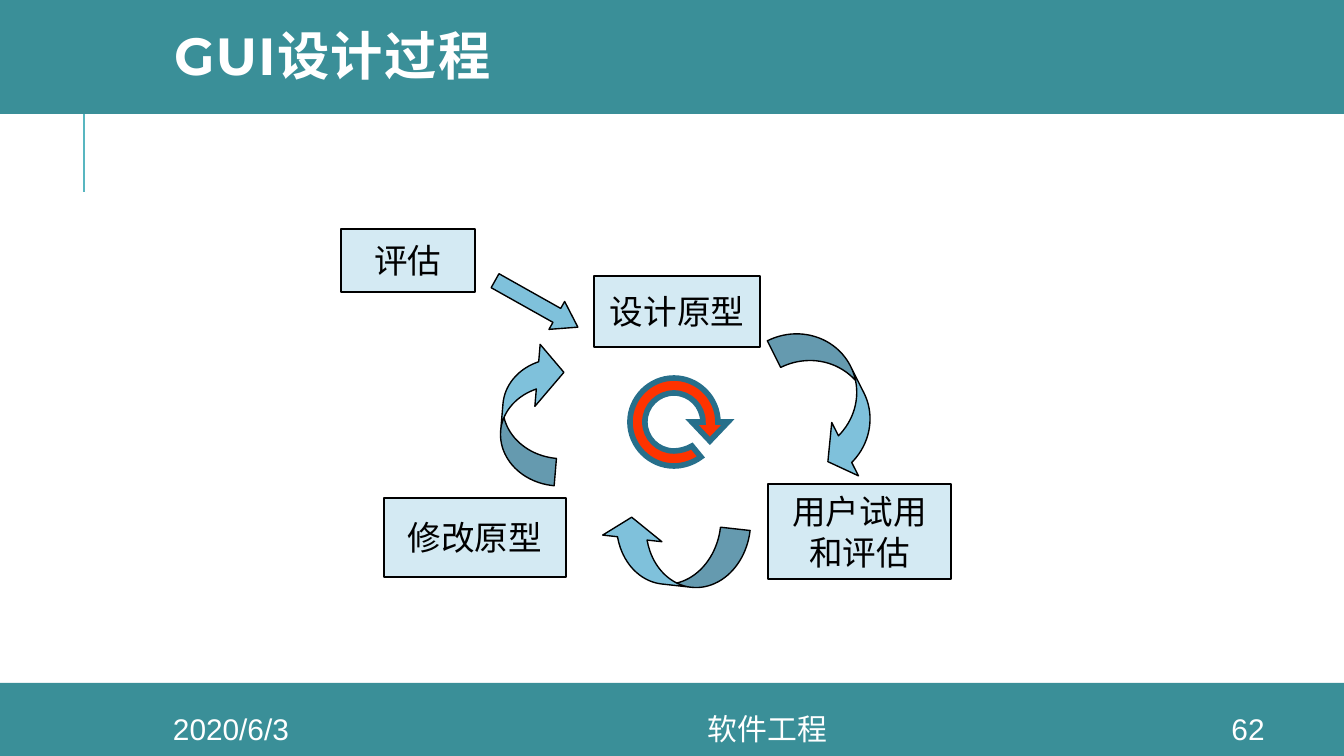
from lxml.etree import SubElement
from pptx import Presentation
from pptx.dml.color import RGBColor
from pptx.enum.shapes import MSO_CONNECTOR, MSO_SHAPE
from pptx.enum.text import MSO_ANCHOR, PP_ALIGN
from pptx.oxml.ns import qn
from pptx.util import Pt

PX = 914400 / 134.4  # EMU in one px
TEAL = RGBColor(0x3A, 0x8F, 0x98)
LIGHT_TEAL = RGBColor(0x58, 0xB6, 0xC0)
PALE_BLUE = RGBColor(0xD4, 0xEA, 0xF3)
SKY_BLUE = RGBColor(0x7F, 0xC1, 0xDB)
DARK_BLUE = RGBColor(0x27, 0x6F, 0x8B)
RED = RGBColor(0xFF, 0x33, 0x00)
BLACK = RGBColor(0, 0, 0)
WHITE = RGBColor(0xFF, 0xFF, 0xFF)


def emu(*lengths):
    return [round(length * PX) for length in lengths]


def write(box, text, size=18, color=BLACK, font="Arial", bold=False,
          align=PP_ALIGN.CENTER, wrap=True, line_spacing=None, tracking=None):
    frame = box.text_frame
    frame.word_wrap = wrap
    frame.vertical_anchor = MSO_ANCHOR.MIDDLE
    for index, line in enumerate(text.split("\n")):
        para = frame.add_paragraph() if index else frame.paragraphs[0]
        para.alignment = align
        para.line_spacing = line_spacing
        span = para.add_run()
        span.text = line
        span.font.size = Pt(size)
        span.font.name = font
        span.font.bold = bold
        span.font.color.rgb = color
        if tracking:
            span.font._element.set("spc", str(tracking))


deck = Presentation()
deck.slide_width, deck.slide_height = emu(1344, 756)
page = deck.slides.add_slide(deck.slide_layouts[6])
shapes = page.shapes

# Accent line and the two bands
accent = shapes.add_connector(MSO_CONNECTOR.STRAIGHT, *emu(84, 192, 84, 91))
accent.line.color.rgb = LIGHT_TEAL
accent.line.width = Pt(1.5)
SubElement(accent._element.spPr, qn("a:effectLst"))
for top, height in [(683, 73), (-4, 118)]:
    band = shapes.add_shape(MSO_SHAPE.RECTANGLE, *emu(0, top, 1344, height))
    band.shadow.inherit = False
    band.fill.solid()
    band.fill.fore_color.rgb = TEAL
    band.line.fill.background()

# Title
title = shapes.add_textbox(*emu(161, 0, 1141, 121))
write(title, "GUI设计过程", size=28, color=WHITE, font="Montserrat", bold=True,
      align=PP_ALIGN.LEFT, line_spacing=0.8, tracking=80)

# Process steps
steps = [
    ("评估", 341, 229, 134, 63),
    ("设计原型", 594, 276, 166, 71),
    ("用户试用\n和评估", 768, 484, 183, 95),
    ("修改原型", 384, 498, 182, 79),
]
for text, *place in steps:
    step = shapes.add_shape(MSO_SHAPE.RECTANGLE, *emu(*place))
    step.shadow.inherit = False
    step.fill.solid()
    step.fill.fore_color.rgb = PALE_BLUE
    step.line.color.rgb = BLACK
    step.line.width = Pt(0.75)
    write(step, text, wrap=False)

# Arrows between the steps
CURVED, STRAIGHT = MSO_SHAPE.CURVED_DOWN_ARROW, MSO_SHAPE.RIGHT_ARROW
arrows = [
    (CURVED, 63.4, (0.473, 0.946, 0.333), 750, 369, 165, 63),
    (CURVED, 186.4, (0.473, 0.946, 0.333), 598, 522, 149, 63),
    (CURVED, 274.9, (0.473, 1.073, 0.448), 459, 382, 145, 58),
    (STRAIGHT, 29.3, (0.5, 0.753), 489, 288, 95, 32),
]
for kind, angle, adjustments, *place in arrows:
    arrow = shapes.add_shape(kind, *emu(*place))
    arrow.rotation = angle
    for index, value in enumerate(adjustments):
        arrow.adjustments[index] = value
    arrow.shadow.inherit = False
    arrow.fill.solid()
    arrow.fill.fore_color.rgb = SKY_BLUE
    arrow.line.color.rgb = BLACK
    arrow.line.width = Pt(0.75)

# Cycle arrow: three points make a curve, one point a straight edge
edges = [
    [(703, 406), (690, 393), (674, 393)],
    [(658, 393), (645, 406), (645, 422)],
    [(645, 438), (658, 451), (674, 451)],
    [(680, 451), (687, 449), (692, 446)],
    [(701, 457)],
    [(693, 463), (683, 466), (674, 466)],
    [(650, 466), (630, 446), (630, 422)],
    [(630, 398), (650, 378), (674, 378)],
    [(698, 378), (718, 398), (718, 422)],
    [(728, 422)], [(710, 441)], [(692, 422)],
]
builder = shapes.build_freeform(*emu(703, 422))
builder.add_line_segments([emu(*point) for edge in edges for point in edge])
builder.add_line_segments([emu(703, 422)], close=True)
cycle = builder.convert_to_shape()
segments = iter(list(cycle._element.iter(qn("a:lnTo"))))
for edge in edges:
    first, *others = [next(segments) for point in edge]
    if others:
        first.tag = qn("a:cubicBezTo")
        for segment in others:
            first.append(segment[0])
            segment.getparent().remove(segment)
cycle.shadow.inherit = False
cycle.fill.solid()
cycle.fill.fore_color.rgb = RED
cycle.line.color.rgb = DARK_BLUE
cycle.line.width = Pt(3)
SubElement(cycle.line._get_or_add_ln(), qn("a:miter"), lim="800000")

# Footer
for text, left, width in [("62", 1194, 108), ("2020/6/3", 112, 238),
                          ("软件工程", 350, 835)]:
    footer = shapes.add_textbox(*emu(left, 713, width, 31))
    write(footer, text, size=16, color=WHITE)

deck.save("out.pptx")
